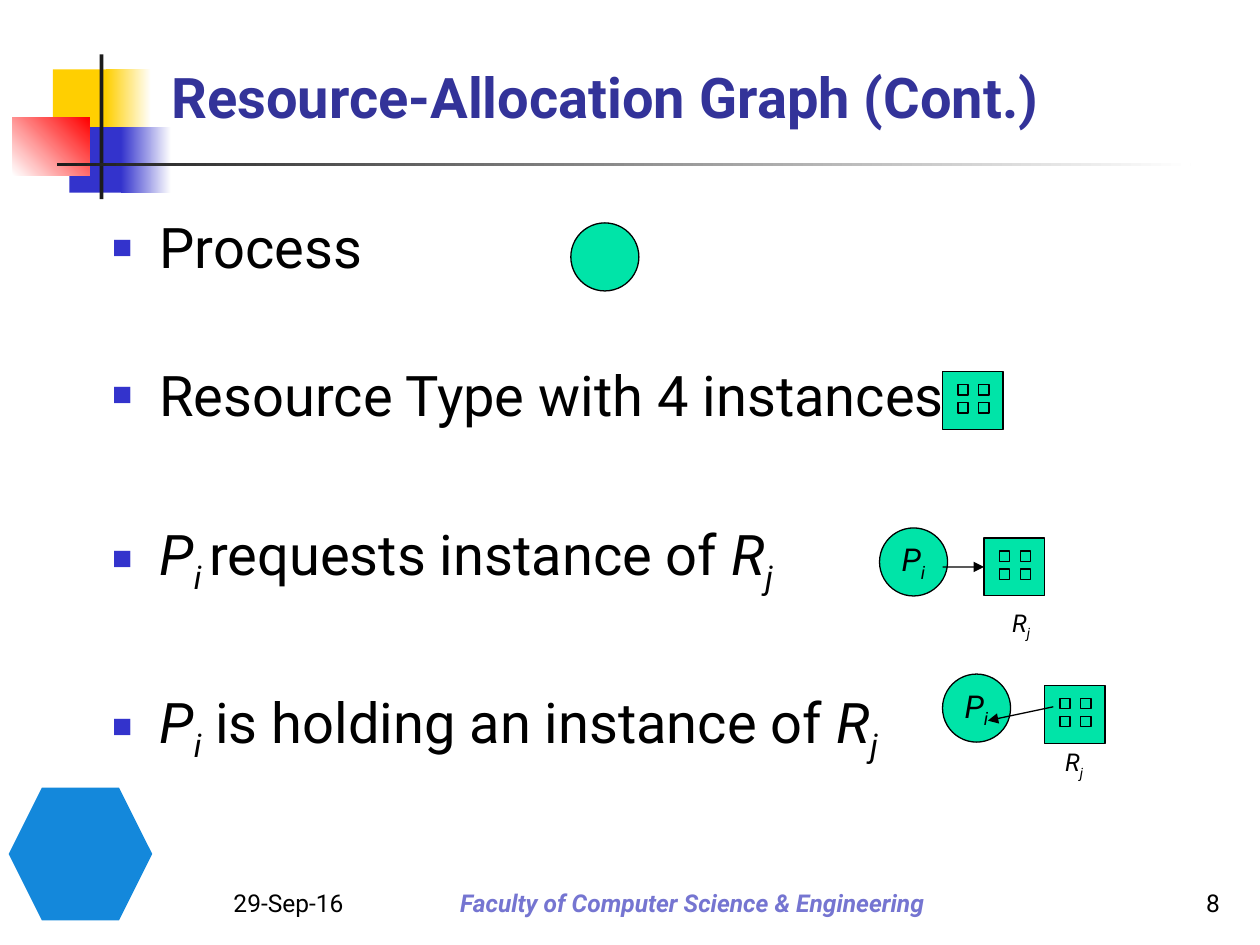
from lxml.etree import SubElement
from pptx import Presentation
from pptx.dml.color import RGBColor
from pptx.enum.shapes import MSO_CONNECTOR as Connector, MSO_SHAPE as Shape
from pptx.enum.text import MSO_ANCHOR as Anchor, MSO_AUTO_SIZE as AutoSize, PP_ALIGN as Align
from pptx.oxml.ns import qn
from pptx.util import Pt

BLACK, WHITE, BLUE, YELLOW = "000000", "FFFFFF", "3333CC", "FFCF01"
DARK, GREEN = "1C1C1C", "00E4A8"
CIRCLE_SIZE, RESOURCE_SIZE, INSTANCE_SIZE = 38.9, (34.6, 33.1), 5.8

# Runs are (text, style): n normal, i italic, s italic subscript
PROCESS_NAME = [("P", "i"), ("i", "s")]
RESOURCE_NAME = [("R", "i"), ("j", "s")]


def color(hex_value):
    return RGBColor.from_string(hex_value)


def place(shape, left, top, width, height):
    box = {"left": left, "top": top, "width": width, "height": height}
    for name, value in box.items():
        setattr(shape, name, Pt(value))


def add_runs(paragraph, runs, size, hex_value=BLACK, **extra):
    for text, style in runs:
        run = paragraph.add_run()
        run.text = text
        font_format = {"name": "Roboto", "size": Pt(size), "italic": style in "is", **extra}
        for name, value in font_format.items():
            setattr(run.font, name, value)
        run.font.color.rgb = color(hex_value)
        if style == "s":
            run.font._element.set("baseline", "-25000")


def format_frame(frame, **values):
    for name, value in {"auto_size": AutoSize.NONE, "word_wrap": True, **values}.items():
        setattr(frame, name, value)


def add_box(shapes, kind, box, fill, outline=None, angle=0):
    """Add a preset shape; a pair of fill colours makes a gradient."""
    shape = shapes.add_shape(kind, *map(Pt, box))
    shape.shadow.inherit = False
    if isinstance(fill, tuple):
        shape.fill.gradient()
        shape.fill.gradient_angle = angle
        for stop, position, hex_value in zip(shape.fill.gradient_stops, (0, 1), fill):
            stop.position = position
            stop.color.rgb = color(hex_value)
    else:
        shape.fill.solid()
        shape.fill.fore_color.rgb = color(fill)
    if outline:
        shape.line.color.rgb = color(outline)
        shape.line.width = Pt(0.75)
    else:
        shape.line.fill.background()
    return shape


def add_text(slide, box, runs, size, align, anchor, wrap=True, hex_value=BLACK, **extra):
    frame = slide.shapes.add_textbox(*map(Pt, box)).text_frame
    format_frame(frame, word_wrap=wrap, vertical_anchor=anchor)
    frame.paragraphs[0].alignment = align
    add_runs(frame.paragraphs[0], runs, size, hex_value, **extra)


def add_process(slide, left, top, runs=()):
    circle = add_box(slide.shapes, Shape.OVAL, (left, top, CIRCLE_SIZE, CIRCLE_SIZE), GREEN, BLACK)
    if runs:
        format_frame(circle.text_frame, word_wrap=False, vertical_anchor=Anchor.MIDDLE)
        circle.text_frame.paragraphs[0].alignment = Align.CENTER
        add_runs(circle.text_frame.paragraphs[0], runs, 18)


def add_resource(slide, left, top):
    """Add a resource square with its 2 by 2 instances."""
    shapes = slide.shapes.add_group_shape().shapes
    square = add_box(shapes, Shape.RECTANGLE, (left, top, *RESOURCE_SIZE), GREEN, BLACK)
    for y in (7.5, 17.8):
        for x in (8.8, 20.7):
            add_box(shapes, Shape.RECTANGLE,
                    (left + x, top + y, INSTANCE_SIZE, INSTANCE_SIZE), GREEN, BLACK)
    return square


def add_arrow(slide, start, end):
    arrow = slide.shapes.add_connector(Connector.STRAIGHT, *map(Pt, (*start, *end)))
    arrow.line.color.rgb = color(BLACK)
    arrow.line.width = Pt(0.75)
    SubElement(arrow.line._get_or_add_ln(), qn("a:tailEnd"), type="triangle")
    SubElement(arrow._element.spPr, qn("a:effectLst"))
    return arrow


def add_bullet(paragraph):
    properties = paragraph._p.get_or_add_pPr()
    properties.set("marL", str(Pt(27)))
    properties.set("indent", str(Pt(-27)))
    bullet_color = SubElement(properties, qn("a:buClr"))
    SubElement(bullet_color, qn("a:srgbClr"), val=BLUE)
    SubElement(properties, qn("a:buSzPct"), val="60000")
    SubElement(properties, qn("a:buFont"), typeface="Arial")
    SubElement(properties, qn("a:buChar"), char="■")


def add_decoration(slide):
    blocks = [
        ((30.2, 39.6, 34.6, 37.4), YELLOW, 0),
        ((60.5, 39.6, 25.9, 37.4), (YELLOW, WHITE), 0),
        ((39.6, 72.7, 33.1, 37.4), BLUE, 0),
        ((69.1, 72.7, 28.8, 37.4), (BLUE, WHITE), 0),
        ((7.2, 67, 43.9, 33.1), (WHITE, "FF0000"), 45),
        ((56.9, 31, 2.2, 82.8), DARK, 0),
        ((32.4, 92.9, 648, 2.2), (DARK, WHITE), 0),
    ]
    for box, fill, angle in blocks:
        add_box(slide.shapes, Shape.RECTANGLE, box, fill, angle=angle)
    # Plain emblem
    add_box(slide.shapes, Shape.HEXAGON, (5, 450, 82, 76), "1488DB")


def fill_title(title):
    place(title, 90.7, 16.6, 613.4, 61.2)
    format_frame(title.text_frame, vertical_anchor=Anchor.BOTTOM)
    paragraph = title.text_frame.paragraphs[0]
    paragraph.alignment = Align.LEFT
    add_runs(paragraph, [("Resource-Allocation Graph (Cont.)", "n")], 32, "333399", bold=True)


def fill_body(body):
    place(body, 56.9, 118, 648, 367.2)
    format_frame(body.text_frame, vertical_anchor=Anchor.TOP)
    items = [
        (2, [("Process", "n")]),
        (46, [("Resource Type with 4 instances", "n")]),
        (52.5, [("P", "i"), ("i ", "s"), ("requests instance of ", "n"), *RESOURCE_NAME]),
        (52.5, [*PROCESS_NAME, (" is holding an instance of ", "n"), *RESOURCE_NAME]),
    ]
    for index, (gap, runs) in enumerate(items):
        frame = body.text_frame
        paragraph = frame.add_paragraph() if index else frame.paragraphs[0]
        paragraph.space_before = Pt(gap)
        add_bullet(paragraph)
        add_runs(paragraph, runs, 32)


def add_symbols(slide):
    # Process and resource type on their own
    add_process(slide, 326.2, 127.4)
    add_resource(slide, 538.6, 212.4)

    # Request: process to resource
    add_process(slide, 502.6, 301.7, PROCESS_NAME)
    requested = add_resource(slide, 562.3, 307.4)
    add_arrow(slide, (538.6, 324), (562.3, 324)).end_connect(requested, 1)

    # Assignment: instance to process
    add_process(slide, 538.6, 385.2, PROCESS_NAME)
    add_resource(slide, 596.9, 391.7)
    add_arrow(slide, (601.9, 403.9), (564.5, 411.8))

    for left, top in ((570.2, 344.9), (600.5, 424.8)):
        add_text(slide, (left, top, 26.6, 23.8), RESOURCE_NAME, 14,
                 Align.CENTER, Anchor.MIDDLE, wrap=False)


def add_footer(slide):
    add_text(slide, (221.8, 504, 347.8, 23.8),
             [("Faculty of Computer Science & Engineering", "i")], 14,
             Align.CENTER, Anchor.BOTTOM, hex_value="7575D1", bold=True)
    add_text(slide, (113.8, 491.8, 102.2, 36), [("29-Sep-16", "n")], 14,
             Align.CENTER, Anchor.BOTTOM)
    add_text(slide, (599.8, 491.8, 104.4, 36), [("8", "n")], 14, Align.RIGHT, Anchor.BOTTOM)


def main():
    presentation = Presentation()
    presentation.slide_width, presentation.slide_height = Pt(720), Pt(540)
    slide = presentation.slides.add_slide(presentation.slide_layouts[1])
    add_decoration(slide)
    fill_title(slide.shapes.title)
    fill_body(slide.placeholders[1])
    add_symbols(slide)
    add_footer(slide)
    presentation.save("out.pptx")


if __name__ == "__main__":
    main()
